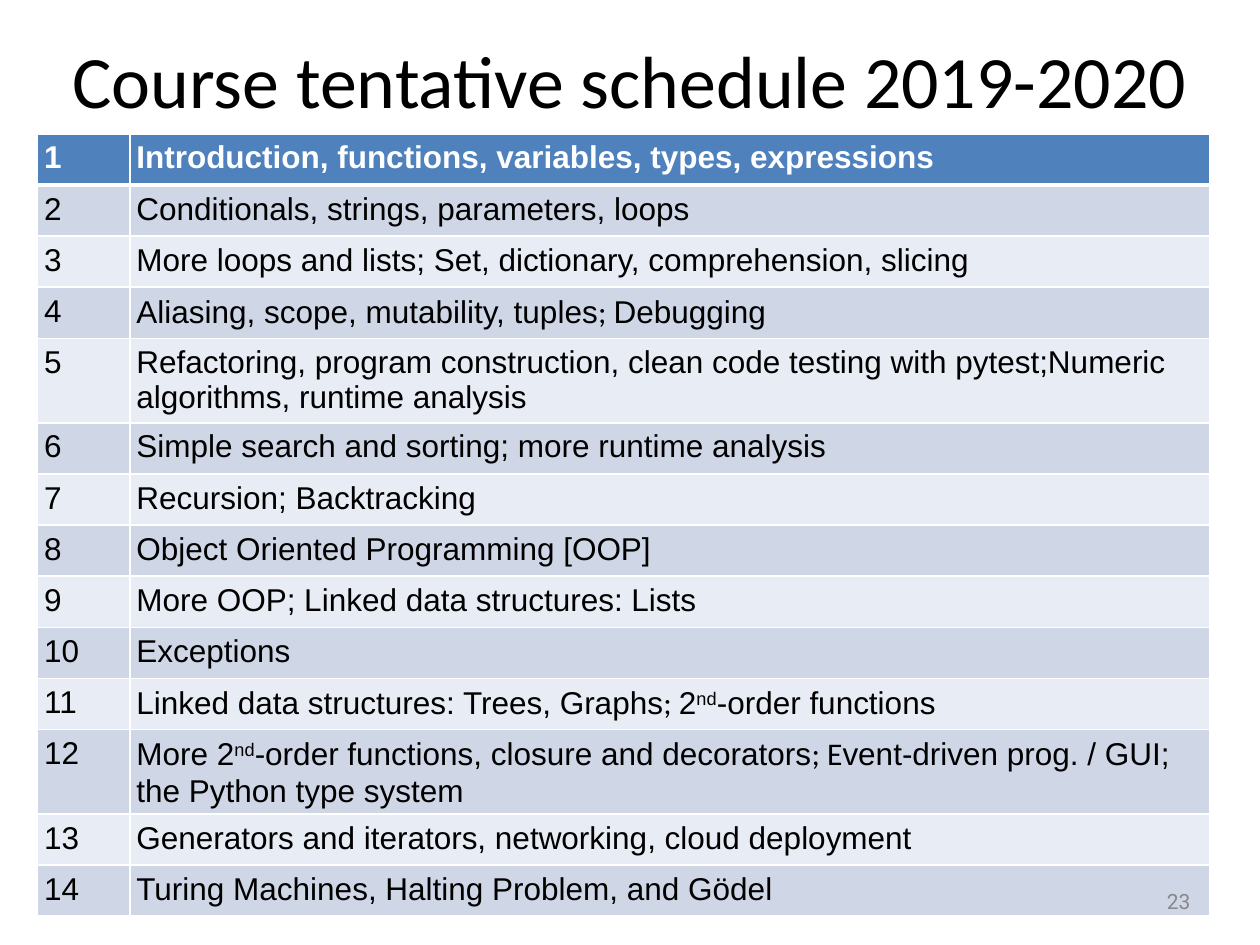
from pptx import Presentation, util as u
from pptx.dml.color import RGBColor
from pptx.enum import text as t
from pptx.oxml import parse_xml
from pptx.oxml.ns import nsdecls

THEME = {
    "ink": "000000", "white": "FFFFFF", "grey": "888888",
    "head": "4F81BD", "bands": ("E8ECF4", "CFD7E7"),
    "title": 42.2, "body": 18, "small": 12,
    "sans": "Arial", "alt": "Calibri", "num": "Roboto",
}
TITLE = "Course tentative schedule 2019-2020"
PAGE = "23"
ALT = {"face": THEME["alt"]}
SUP = {"base": 30}

# One entry a week: plain text, or a list of (text, format) runs
WEEKS = [
    "Introduction, functions, variables, types, expressions",
    "Conditionals, strings, parameters, loops",
    "More loops and lists; Set, dictionary, comprehension, slicing",
    [("Aliasing, scope, mutability, tuples", {}), ("; ", ALT), ("Debugging", {})],
    "Refactoring, program construction, clean code testing with pytest;"
    "Numeric algorithms, runtime analysis",
    "Simple search and sorting; more runtime analysis",
    "Recursion; Backtracking",
    "Object Oriented Programming [OOP]",
    "More OOP; Linked data structures: Lists",
    "Exceptions",
    [("Linked data structures: Trees, Graphs", {}), ("; ", ALT),
     ("2", {}), ("nd", SUP), ("-order functions", {})],
    [("More 2", {}), ("nd", SUP), ("-order functions, closure and decorators", {}),
     ("; E", ALT), ("vent-driven prog. / GUI; the Python type system", {})],
    "Generators and iterators, networking, cloud deployment",
    "Turing Machines, Halting Problem, and Gödel",
]
LEFT, TOP, ROW = 0.76, 2.7, 1.03
COLS = (1.86, 21.76)
PAD, LOW = u.Cm(0.13), u.Cm(0.05)


def add_run(para, words, size=THEME["body"], face=THEME["sans"],
            color=THEME["ink"], bold=False, base=0):
    run = para.add_run()
    run.text = words
    font = run.font
    font.size, font.name, font.bold = u.Pt(size), face, bold
    font.color.rgb = RGBColor.from_string(color)
    if base:
        run._r.get_or_add_rPr().set("baseline", str(base * 1000))


def add_box(slide, place, words, align, **look):
    frame = slide.shapes.add_textbox(*map(u.Cm, place)).text_frame
    frame.word_wrap = True
    frame.vertical_anchor = t.MSO_ANCHOR.MIDDLE
    frame.margin_left = frame.margin_right = PAD
    frame.margin_top = frame.margin_bottom = PAD
    para = frame.paragraphs[0]
    para.alignment = align
    add_run(para, words, **look)


def add_edges(cell, **wide):
    """Draw white cell borders; wide gives each side's width in points."""
    for side, width in wide.items():
        cell._tc.get_or_add_tcPr().append(parse_xml(
            f'<a:ln{side} {nsdecls("a")} w="{u.Pt(width)}"><a:solidFill>'
            f'<a:srgbClr val="{THEME["white"]}"/></a:solidFill></a:ln{side}>'))


def fill_cell(cell, row, runs):
    head = row == 0
    cell.margin_left = cell.margin_right = cell.margin_top = PAD
    cell.margin_bottom = LOW
    add_edges(cell, L=1, R=1, T=3 if row == 1 else 1, B=3 if head else 1)
    cell.fill.solid()
    shade = THEME["head"] if head else THEME["bands"][row % 2]
    cell.fill.fore_color.rgb = RGBColor.from_string(shade)
    base = {"color": THEME["white" if head else "ink"], "bold": head}
    for words, look in runs:
        add_run(cell.text_frame.paragraphs[0], words, **{**base, **look})


def add_plan(slide):
    table = slide.shapes.add_table(
        len(WEEKS), len(COLS), u.Cm(LEFT), u.Cm(TOP),
        u.Cm(sum(COLS)), u.Cm(ROW * len(WEEKS))).table
    for col, width in zip(table.columns, COLS):
        col.width = u.Cm(width)
    for row, topic in enumerate(WEEKS):
        table.rows[row].height = u.Cm(ROW)
        runs = [(topic, {})] if isinstance(topic, str) else topic
        fill_cell(table.cell(row, 0), row, [(str(row + 1), {})])
        fill_cell(table.cell(row, 1), row, runs)


def main():
    deck = Presentation()
    deck.slide_width, deck.slide_height = u.Cm(25.4), u.Cm(19.05)
    slide = deck.slides.add_slide(deck.slide_layouts[6])
    add_box(slide, (1.27, 0.48, 22.86, 2.24), TITLE, t.PP_ALIGN.CENTER,
            size=THEME["title"], face=THEME["alt"])
    add_plan(slide)
    add_box(slide, (23.03, 17.83, 1.1, 0.69), PAGE, t.PP_ALIGN.RIGHT,
            size=THEME["small"], face=THEME["num"], color=THEME["grey"])
    deck.save("out.pptx")


if __name__ == "__main__":
    main()
